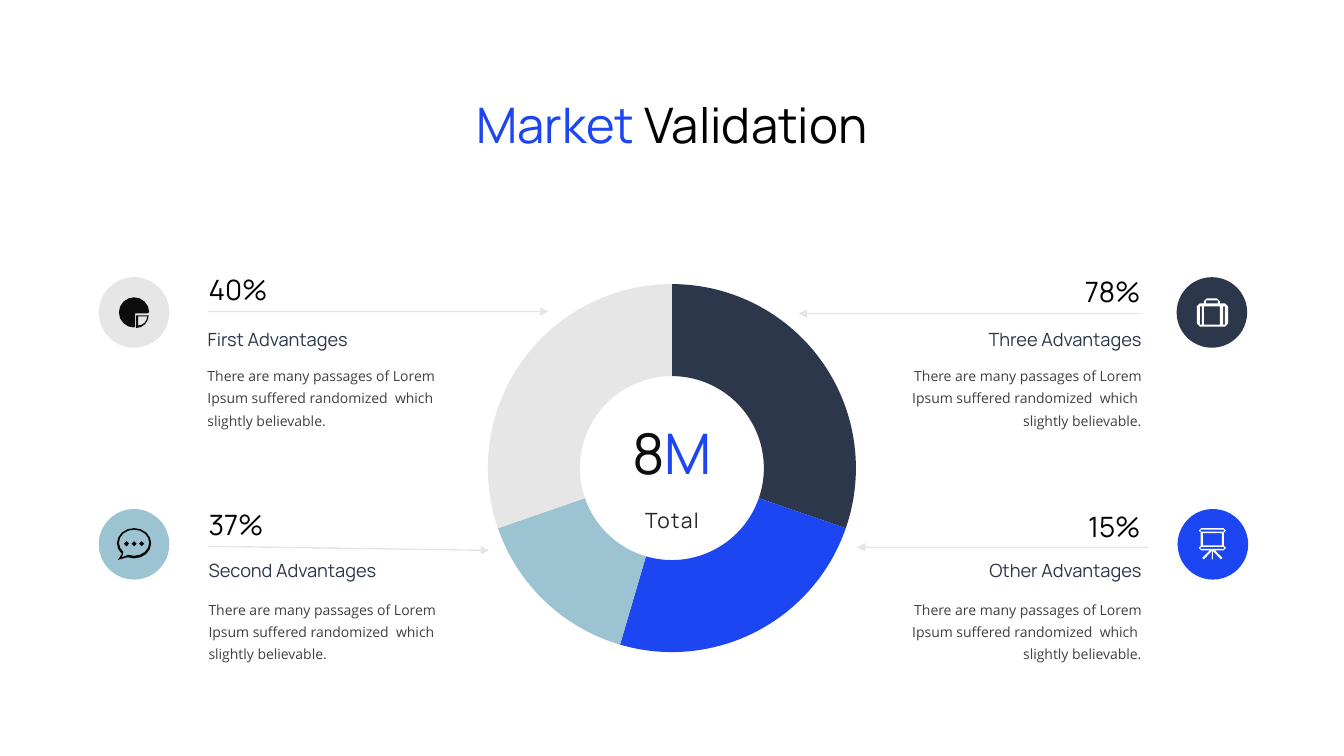
"""Builds the Market Validation slide: a doughnut chart with four advantages."""
from math import cos, pi, sin

from lxml.etree import SubElement
from pptx import Presentation
from pptx.chart.data import CategoryChartData
from pptx.dml.color import RGBColor
from pptx.enum.chart import XL_CHART_TYPE as Chart
from pptx.enum.shapes import MSO_CONNECTOR as Connector, MSO_SHAPE as Shape
from pptx.enum.text import MSO_ANCHOR as Anchor, MSO_AUTO_SIZE as AutoSize, PP_ALIGN as Align
from pptx.oxml import parse_xml
from pptx.oxml.ns import nsdecls, qn
from pptx.util import Inches, Pt

rgb = RGBColor.from_string
BLUE, NAVY, SKY, PALE = "1C46F2", "2D374B", "9BC3D2", "E7E6E6"
BLACK, WHITE, INK, GREY = "000000", "FFFFFF", "0D0D0D", "404040"
BODY = ("There are many passages of Lorem Ipsum suffered randomized  which  "
        "slightly believable.")

deck = Presentation()
deck.slide_width, deck.slide_height = Inches(13.33), Inches(7.5)
slide = deck.slides.add_slide(deck.slide_layouts[6])
shapes = slide.shapes


def write(runs, left, top, width, height, size, align=Align.CENTER,
          spacing=None, font="Manrope", flush=False):
    """Adds one paragraph made of (text, colour) runs and returns it."""
    box = shapes.add_textbox(*map(Inches, (left, top, width, height)))
    frame = box.text_frame
    frame.word_wrap = True
    frame.auto_size = AutoSize.SHAPE_TO_FIT_TEXT
    if flush:
        frame.margin_left = frame.margin_right = frame.margin_top = frame.margin_bottom = 0
        frame.vertical_anchor = Anchor.MIDDLE
    line = frame.paragraphs[0]
    line.alignment, line.line_spacing = align, spacing
    line.font.name, line.font.size = font, Pt(size)
    for text, colour in runs:
        run = line.add_run()
        run.text = text
        run.font.color.rgb = rgb(colour)
    return line


def rounded(left, top, right, bottom, *radii):
    """Outlines a box with (rx, ry) corners: bottom right, bottom left, top left, top right."""
    radii = radii or ((0, 0),) * 4
    radii = radii * 4 if len(radii) == 1 else radii
    corners = [(right, bottom, -1, -1), (left, bottom, 1, -1),
               (left, top, 1, 1), (right, top, -1, 1)]
    points = []
    for quarter, ((x, y, dx, dy), (rx, ry)) in enumerate(zip(corners, radii)):
        steps = 4 if rx > 4 else 1
        for step in range(steps + 1 if rx else 1):
            turn = (quarter + step / steps) * pi / 2
            points.append((x + dx * rx + rx * cos(turn), y + dy * ry + ry * sin(turn)))
    return points


write([("Market ", BLUE), ("Validation", BLACK)], 3.72, 0.85, 5.89, 0.71, 35, spacing=Pt(45))

shares = CategoryChartData()
shares.categories = ["1", "2", "3", "4"]
shares.add_series("Series 1", [30, 24, 15, 30])
ring = shapes.add_chart(Chart.DOUGHNUT, *map(Inches, (4.7, 2.63, 3.93, 4.03)), shares).chart
ring.has_legend = ring.has_title = False
ring.font.name, ring.font.size = "Manrope", Pt(10)
ring.font.color.rgb = rgb(BLACK)
plot = ring.plots[0]
plot.vary_by_categories = True
for index, colour in enumerate((NAVY, BLUE, SKY, PALE)):
    slice_format = plot.series[0].points[index].format
    slice_format.fill.solid()
    slice_format.fill.fore_color.rgb = rgb(colour)
    slice_format.line.fill.background()
plot_area = ring.element.find(".//" + qn("c:plotArea"))
for hole in plot_area.iter(qn("c:holeSize")):
    hole.set("val", "85")
for old_layout in plot_area.findall(qn("c:layout")):
    plot_area.remove(old_layout)
plot_area.insert(0, parse_xml(
    f'<c:layout {nsdecls("c")}><c:manualLayout><c:layoutTarget val="inner"/>'
    '<c:xMode val="edge"/><c:yMode val="edge"/><c:x val="0.035"/><c:y val="0.047"/>'
    '<c:w val="0.93"/><c:h val="0.906"/></c:manualLayout></c:layout>'))

write([("8", INK), ("M", BLUE)], 5.8, 4.14, 1.73, 0.75, 40, spacing=Pt(45))
total = write([("Total", "262626")], 5.91, 4.99, 1.51, 0.35, 15)
total.runs[0].font._element.set("spc", "100")

disc = rounded(20, 20, 50, 50, (15, 15))
pie = [disc[5:] + [(48, 36), (36, 36), (36, 49)]]
for left, top, radius in ((37, 38, 12.5), (39, 39, 9)):
    pie.append(rounded(left, top, left + radius, top + radius,
                       (radius, radius), (0, 0), (0, 0), (0, 0)))

suitcase = [rounded(20, 26, 51, 49, (3, 3)),
            rounded(27, 21, 43, 26, (0, 0), (0, 0), (3, 3), (3, 3)),
            rounded(29, 23, 41, 26)]
suitcase += [rounded(left, 29, right, 47) for left, right in ((23, 25), (27, 43), (46, 48))]

easel = [rounded(23, 24, 46, 36), rounded(25, 24, 44, 36), rounded(34, 41, 35, 50)]
for top in (19, 36):
    easel += [rounded(21, top, 48, top + 5, (2.5, 2.5)),
              rounded(23, top + 1.5, 46, top + 3.5)]
for side in (-1, 1):
    easel.append([(34.5 + side * x, y)
                  for x, y in ((2.5, 41), (10, 48.5), (8.5, 50), (0.5, 41.5))])

outer = rounded(18, 19, 52, 49, (17, 15))
inner = rounded(20, 20.5, 50, 46.5, (15, 13))
bubble = [outer[:7] + [(19, 50.5), (22, 46)] + outer[7:],
          inner[:7] + [(23, 48)] + inner[7:]]
bubble += [rounded(x - 2.5, 32, x + 2.5, 37, (2.5, 2.5)) for x in (27.5, 35, 42.5)]

LEFT, RIGHT = Align.LEFT, Align.RIGHT
ROWS = [(2.75, 3.28, 3.54), (5.05, 5.57, 5.86)]
advantages = [
    ("40%", "First Advantages", LEFT, 0, 2.06, 2.65, 0.98, PALE, INK, pie,
     (2.06, 3.09, 5.44, 3.09)),
    ("37%", "Second Advantages", LEFT, 1, 2.07, 4.99, 0.98, SKY, BLACK, bubble,
     (2.06, 5.42, 4.85, 5.46)),
    ("78%", "Three Advantages", RIGHT, 0, 11.32, 2.67, 11.67, NAVY, WHITE, suitcase,
     (11.32, 3.11, 7.92, 3.11)),
    ("15%", "Other Advantages", RIGHT, 1, 11.32, 5.01, 11.68, BLUE, WHITE, easel,
     (11.39, 5.43, 8.5, 5.43)),
]
for (percent, name, align, row, edge, percent_top, badge_left, badge_fill,
     icon_fill, contours, arrow_ends) in advantages:
    badge_top, name_top, body_top = ROWS[row]
    badge = shapes.add_shape(Shape.OVAL, *map(Inches, (badge_left, badge_top, 0.7, 0.7)))
    pen = None
    for contour in contours:
        (x, y), *rest = [(x * 10, y * 10) for x, y in contour]
        if pen is None:
            pen = shapes.build_freeform(x, y, scale=Inches(0.001))
        else:
            pen.move_to(x, y)
        pen.add_line_segments(rest, close=True)
    icon = pen.convert_to_shape(Inches(badge_left), Inches(badge_top))
    for part, colour in ((badge, badge_fill), (icon, icon_fill)):
        part.shadow.inherit = False
        part.fill.solid()
        part.fill.fore_color.rgb = rgb(colour)
        part.line.fill.background()

    arrow = shapes.add_connector(Connector.STRAIGHT, *map(Inches, arrow_ends))
    arrow.line.width = Pt(1)
    arrow.line.color.rgb = rgb(BLACK)
    stroke = arrow.line._get_or_add_ln()
    SubElement(stroke.find(".//" + qn("a:srgbClr")), qn("a:alpha"), val="10000")
    SubElement(stroke, qn("a:tailEnd"), type="triangle")
    SubElement(arrow._element.spPr, qn("a:effectLst"))

    on_left = align == LEFT
    write([(percent, BLACK)], 1.97 if on_left else 10.47, percent_top, 0.94, 0.44, 20, align)
    write([(name, NAVY)], edge if on_left else edge - 1.9, name_top, 1.9, 0.2, 13, align,
          spacing=0.9, flush=True)
    write([(BODY, GREY)], edge - 0.1 if on_left else edge - 2.66, body_top, 2.76, 0.75, 10,
          align, spacing=Pt(16), font="Open Sans")

deck.save("out.pptx")
